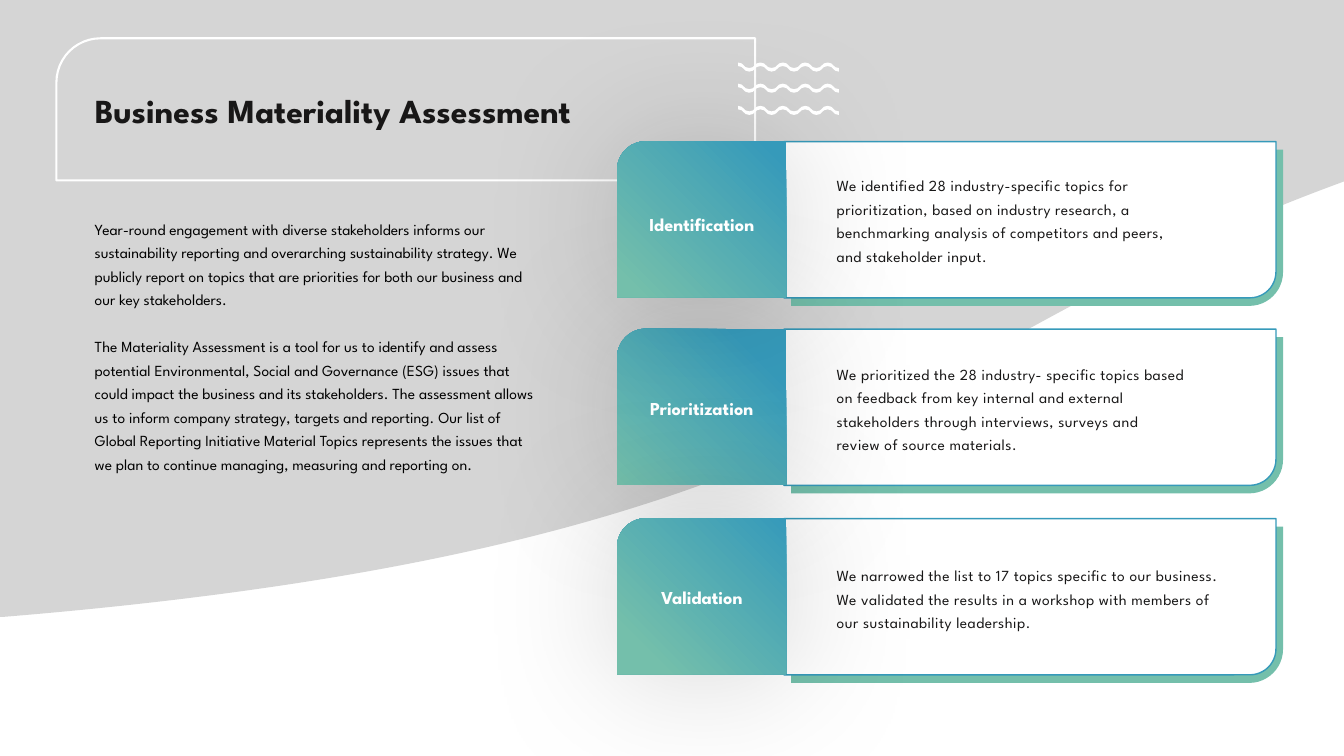
import dataclasses
from typing import Any, NamedTuple

import pptx
import pptx.dml.color
import pptx.enum.shapes
import pptx.enum.text
import pptx.oxml
import pptx.oxml.ns
import pptx.shapes.autoshape
import pptx.slide
import pptx.util

PX = 9144  # EMU per px, 100 px to the inch
ROUND1 = pptx.enum.shapes.MSO_SHAPE.ROUND_1_RECTANGLE
Shape = pptx.shapes.autoshape.Shape
Slide = pptx.slide.Slide
Point = tuple[float, float]
NS = pptx.oxml.ns.nsdecls("a")
qn = pptx.oxml.ns.qn


@dataclasses.dataclass(frozen=True)
class Theme:
    font: str = "League Spartan"
    stop_font: str = "Calibri"
    white: str = "FFFFFF"
    black: str = "000000"
    ink: str = "181717"
    grey: str = "D5D5D5"
    green: str = "74BFAB"
    blue: str = "369ABA"
    title_size: float = 24
    label_size: float = 13
    body_size: float = 11
    leading: float = 16.8


THEME = Theme()


class Box(NamedTuple):
    x: int
    y: int
    w: int
    h: int


class Step(NamedTuple):
    label: str
    text: str
    top: int
    label_top: int
    text_box: Box
    stops: tuple[int, int]


STEPS = [
    Step("Prioritization",
         "We prioritized the 28 industry- specific topics based on feedback from key internal "
         "and external stakeholders through interviews, surveys and review of source materials",
         326, 391, Box(820, 352, 366, 103), (0, 84)),
    Step("Validation",
         "We narrowed the list to 17 topics specific to our business. We validated the results "
         "in a workshop with members of our sustainability leadership",
         514, 579, Box(820, 552, 403, 80), (15, 100)),
    Step("Identification",
         "We identified 28 industry-specific topics for prioritization, based on industry "
         "research, a benchmarking analysis of competitors and peers, and stakeholder input",
         140, 209, Box(820, 165, 365, 103), (7, 94)),
]

BODY = [
    "Year-round engagement with diverse stakeholders informs our sustainability reporting and "
    "overarching sustainability strategy. We publicly report on topics that are priorities for "
    "both our business and our key stakeholders.",
    "The Materiality Assessment is a tool for us to identify and assess potential Environmental, "
    "Social and Governance (ESG) issues that could impact the business and its stakeholders. "
    "The assessment allows us to inform company strategy, targets and reporting. Our list of "
    "Global Reporting Initiative Material Topics represents the issues that we plan to continue "
    "managing, measuring and reporting on.",
]


def rgb(value: str) -> pptx.dml.color.RGBColor:
    return pptx.dml.color.RGBColor.from_string(value)


def emu(box: Box) -> list[int]:
    return [v * PX for v in box]


def paint(sp: Shape, fill: str | None = None, line: str | None = None, width: float = 1) -> None:
    sp.shadow.inherit = False
    if fill:
        sp.fill.solid()
        sp.fill.fore_color.rgb = rgb(fill)
    else:
        sp.fill.background()
    if line:
        sp.line.color.rgb = rgb(line)
        sp.line.width = pptx.util.Pt(width)
    else:
        sp.line.fill.background()


def add_outline(s: Slide, box: Box, segments: list[list[Point]], fill: str) -> None:
    """Closed outline in box coordinates: a point is a line, three points a Bézier curve."""
    x, y, w, h = emu(box)
    builder = s.shapes.build_freeform(x, y)
    builder.add_line_segments([(x + w, y), (x + w, y + h), (x, y + h)])
    sp = builder.convert_to_shape()
    outline = sp._element.spPr.find(".//" + qn("a:path"))
    for child in list(outline):
        outline.remove(child)
    tags = ["moveTo"] + ["cubicBezTo" if len(seg) == 3 else "lnTo" for seg in segments[1:]]
    for tag, seg in zip(tags, segments):
        points = "".join(f'<a:pt x="{round(a * PX)}" y="{round(b * PX)}"/>' for a, b in seg)
        outline.append(pptx.oxml.parse_xml(f"<a:{tag} {NS}>{points}</a:{tag}>"))
    outline.append(pptx.oxml.parse_xml(f"<a:close {NS}/>"))
    paint(sp, fill)


def add_panel(s: Slide) -> None:
    add_outline(s, Box(0, 0, 1333, 612),
                [[(1333, 0)], [(0, 0)], [(0, 612)], [(3, 612)],
                 [(842, 543), (897, 341), (1325, 183)], [(1333, 180)]], THEME.grey)


def add_wave(s: Slide, top: int) -> None:
    """White ribbon of nine half waves, drawn along its upper edge and back below."""
    half, depth, thick, count = 100 / 9, 5.5, 3.5, 9
    shape = [(0.27, 0), (0.42, 0.27), (0.5, 0.5), (0.58, 0.73), (0.73, 1), (1, 1)]
    upper: list[Point] = [(0, 0)]
    for i in range(count):
        upper += [((i + a) * half, depth * (1 - b if i % 2 else b)) for a, b in shape]
    lower = [(x, y + thick) for x, y in reversed(upper)]
    segments: list[list[Point]] = []
    for edge in (upper, lower):
        segments.append(edge[:1])
        segments += [edge[k:k + 3] for k in range(1, len(edge), 3)]
    add_outline(s, Box(732, top, 100, 9), segments, THEME.white)


def add_round1(s: Slide, box: Box, adj: float, flip: bool = False, turned: bool = False) -> Shape:
    """One-rounded-corner rectangle; a turned one has its corner at lower right."""
    if turned:
        shift = (box.w - box.h) // 2
        box = Box(box.x + shift, box.y - shift, box.h, box.w)
    sp = s.shapes.add_shape(ROUND1, *emu(box))
    sp.adjustments[0] = adj
    sp.rotation = 90 if turned else 0
    if flip:
        sp._element.spPr.xfrm.set("flipH", "1")
    return sp


def add_text(s: Slide, box: Box, paragraphs: list[str], size: float, color: str,
             inset: tuple[int, int, int, int] = (3, 3, 3, 3), bold: bool = False,
             center: bool = False, leading: float | None = None, gap: float = 0,
             spacing: int = 0, stop: str = "") -> None:
    """Text box; stop is a closing mark set in its own font."""
    tf = s.shapes.add_textbox(*emu(box)).text_frame
    left, top, right, bottom = (v * PX for v in inset)
    frame: dict[str, Any] = dict(
        word_wrap=True, auto_size=pptx.enum.text.MSO_AUTO_SIZE.SHAPE_TO_FIT_TEXT,
        margin_left=left, margin_top=top, margin_right=right, margin_bottom=bottom)
    for name, value in frame.items():
        setattr(tf, name, value)
    for i, text in enumerate(paragraphs):
        p = tf.add_paragraph() if i else tf.paragraphs[0]
        if i:
            p.space_before = pptx.util.Pt(gap)
        if leading:
            p.line_spacing = pptx.util.Pt(leading)
        if center:
            p.alignment = pptx.enum.text.PP_ALIGN.CENTER
        for part, font in ((text, THEME.font), (stop, THEME.stop_font)):
            if not part:
                continue
            r = p.add_run()
            r.text = part
            for name, value in dict(name=font, size=pptx.util.Pt(size), bold=bold).items():
                setattr(r.font, name, value)
            r.font.color.rgb = rgb(color)
            if spacing:
                r._r.get_or_add_rPr().set("spc", str(spacing))


def add_card(s: Slide, step: Step) -> None:
    front = Box(778, step.top, 488, 155)
    back = front._replace(x=front.x + 7, y=front.y + 8)
    paint(add_round1(s, back, 0.216, turned=True), THEME.green)
    paint(add_round1(s, front, 0.167, turned=True), THEME.white, THEME.blue)
    add_text(s, step.text_box, [step.text], THEME.body_size, THEME.ink, (10, 5, 10, 5),
             leading=THEME.leading, spacing=30, stop=".")


def add_tab(s: Slide, step: Step) -> None:
    """Gradient label tile with a wide soft shadow."""
    sp = add_round1(s, Box(612, step.top, 168, 155), 0.185, flip=True)
    paint(sp)
    stops = "".join(f'<a:gs pos="{pos * 1000}"><a:srgbClr val="{color}"/></a:gs>'
                    for pos, color in zip(step.stops, (THEME.green, THEME.blue)))
    gradient = pptx.oxml.parse_xml(
        f'<a:gradFill {NS} rotWithShape="1"><a:gsLst>{stops}</a:gsLst><a:path path="circle">'
        '<a:fillToRect t="100000" r="100000"/></a:path></a:gradFill>')
    shadow = pptx.oxml.parse_xml(
        f'<a:outerShdw {NS} blurRad="{pptx.util.Pt(100)}" algn="ctr" rotWithShape="0">'
        f'<a:srgbClr val="{THEME.black}"><a:alpha val="17000"/></a:srgbClr></a:outerShdw>')
    spPr = sp._element.spPr
    spPr.replace(spPr.find(qn("a:noFill")), gradient)
    spPr.find(qn("a:effectLst")).append(shadow)
    add_text(s, Box(612, step.label_top, 168, 27), [step.label], THEME.label_size, THEME.white,
             bold=True, center=True)


def main() -> None:
    prs = pptx.Presentation()
    prs.slide_width, prs.slide_height = 1333 * PX, 750 * PX
    s = prs.slides.add_slide(prs.slide_layouts[6])
    add_panel(s)
    add_text(s, Box(91, 208, 454, 294), BODY, THEME.body_size, THEME.black, (3, 5, 10, 5),
             leading=THEME.leading, gap=THEME.leading)
    paint(add_round1(s, Box(56, 38, 693, 141), 0.31, flip=True), line=THEME.white, width=1.5)
    add_text(s, Box(91, 86, 651, 46), ["Business Materiality Assessment"], THEME.title_size,
             THEME.ink, bold=True)
    for add_part in (add_card, add_tab):
        for step in STEPS:
            add_part(s, step)
    for top in (62, 83, 105):
        add_wave(s, top)
    prs.save("out.pptx")


if __name__ == "__main__":
    main()
